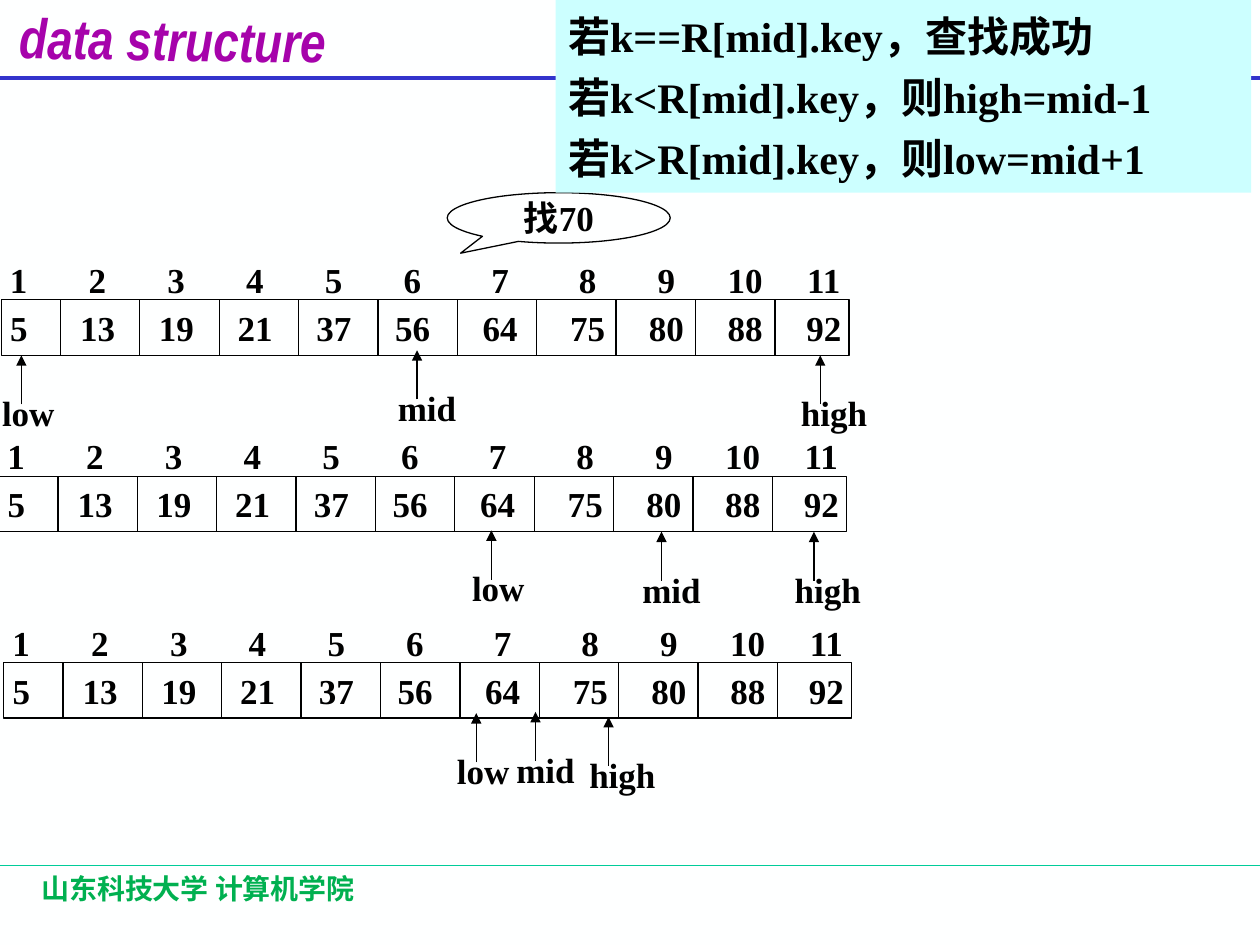
from dataclasses import dataclass

from lxml import etree
from pptx import Presentation
from pptx.dml.color import RGBColor
from pptx.enum import shapes as kinds, text as txt
from pptx.oxml import ns
from pptx.util import Inches, Pt


@dataclass(frozen=True)
class Theme:
    """Colours, fonts and type sizes of the slide."""
    background: str = "FEFFFF"
    ink: str = "000000"
    title: str = "A603AB"
    header_rule: str = "3333CC"
    footer_rule: str = "00CC99"
    footer: str = "00B050"
    panel: str = "CCFFFF"
    serif: str = "Times New Roman"
    narrow: str = "Arial Narrow"
    chinese: str = "Noto Sans CJK SC"
    title_size: int = 32
    rule_size: int = 24
    body_size: int = 20
    footer_size: int = 16
    thin: float = 0.75
    thick: float = 2.25


THEME = Theme()
KEYS = [5, 13, 19, 21, 37, 56, 64, 75, 80, 88, 92]
LABEL_WIDTHS = {"low": 0.61, "mid": 0.66, "high": 0.72}
PITCH = 0.625
COLUMN_CENTRES = [0.07 + PITCH * i + 0.07 * ((i > 5) + (i > 6))
                  for i in range(1, len(KEYS))]
ROW_WIDTH, ROW_HEIGHT = 6.73, 0.44
FIRST_DIVIDER, CELL_WIDTH = 0.47, 0.63


def child(parent, tag, **attributes):
    """Append a DrawingML element to a parent element."""
    return etree.SubElement(parent, ns.qn(tag), attributes)


def write(shape, content, *, size=THEME.body_size, font=THEME.serif, color=THEME.ink,
          italic=False, align=txt.PP_ALIGN.LEFT, anchor=txt.MSO_ANCHOR.TOP, wrap=False,
          tabs=(), line_height=None, gap=0, left=0.1, right=0.1):
    """Fill a shape with formatted text, one paragraph for each line."""
    frame = shape.text_frame
    frame.word_wrap = wrap
    frame.auto_size = txt.MSO_AUTO_SIZE.NONE
    frame.vertical_anchor = anchor
    frame.margin_left, frame.margin_right = Inches(left), Inches(right)
    frame.margin_top = frame.margin_bottom = Inches(0.05)
    for number, line in enumerate(content.split("\n")):
        paragraph = frame.add_paragraph() if number else frame.paragraphs[0]
        if tabs:
            stops = child(paragraph._p.get_or_add_pPr(), "a:tabLst")
            for position in tabs:
                child(stops, "a:tab", pos=str(Inches(position)), algn="ctr")
        paragraph.alignment = align
        paragraph.space_before = Pt(gap if number else 0)
        if line_height:
            paragraph.line_spacing = Pt(line_height)
        run = paragraph.add_run()
        run.text = line
        run.font.size, run.font.name = Pt(size), font
        run.font.bold, run.font.italic = True, italic
        run.font.color.rgb = RGBColor.from_string(color)
        child(run._r.get_or_add_rPr(), "a:ea", typeface=THEME.chinese)


def place(shape, left, top, width, height):
    """Move and size a shape in inches."""
    shape.left, shape.top = Inches(left), Inches(top)
    shape.width, shape.height = Inches(width), Inches(height)


def add_text(parts, box, content, **style):
    """Add a text box at the given box."""
    label = parts.add_textbox(*map(Inches, box))
    write(label, content, **style)


def add_line(parts, start, end, color=THEME.ink, weight=THEME.thin, arrow=False):
    """Draw a straight line, with an arrowhead at its end if asked."""
    line = parts.add_connector(kinds.MSO_CONNECTOR.STRAIGHT, *map(Inches, start + end))
    line.line.color.rgb = RGBColor.from_string(color)
    line.line.width = Pt(weight)
    if arrow:
        child(line.line._get_or_add_ln(), "a:tailEnd", type="triangle")
    child(line._element.spPr, "a:effectLst")


def add_panel(parts, kind, box, fill=None, outline=None):
    """Add a preset shape with an optional fill and outline."""
    panel = parts.add_shape(kind, *map(Inches, box))
    panel.shadow.inherit = False
    if fill:
        panel.fill.solid()
        panel.fill.fore_color.rgb = RGBColor.from_string(fill)
    else:
        panel.fill.background()
    if outline:
        panel.line.color.rgb = RGBColor.from_string(outline)
        panel.line.width = Pt(THEME.thin)
    else:
        panel.line.fill.background()
    return panel


def build_frame(slide, width):
    """Place the title, the footer and their rules."""
    add_line(slide.shapes, (0, 6.87), (width, 6.87), THEME.footer_rule)
    add_line(slide.shapes, (0, 0.62), (width, 0.62), THEME.header_rule, THEME.thick)
    title = slide.shapes.title
    place(title, 0.07, -0.01, 2.6, 0.54)
    title.rotation = 0.8
    write(title, "data structure", size=THEME.title_size, font=THEME.narrow,
          color=THEME.title, italic=True, align=txt.PP_ALIGN.CENTER, left=0, right=0)
    add_text(slide.shapes, (0.23, 6.87, 4.14, 0.5), "山东科技大学 计算机学院",
             size=THEME.footer_size, font=THEME.chinese, color=THEME.footer, wrap=True)


def build_search_step(slide, left, top, pointers):
    """Draw one state of the array: indexes, cells and pointers."""
    parts = slide.shapes.add_group_shape().shapes
    add_text(parts, (left - 0.03, top - 0.38, 6.81, ROW_HEIGHT),
             "\t".join(str(i) for i in range(1, len(KEYS) + 1)),
             tabs=COLUMN_CENTRES, wrap=True, right=0)
    cells = add_panel(parts, kinds.MSO_SHAPE.RECTANGLE,
                      (left, top, ROW_WIDTH, ROW_HEIGHT), outline=THEME.ink)
    write(cells, "\t".join(map(str, KEYS)), tabs=COLUMN_CENTRES, wrap=True,
          anchor=txt.MSO_ANCHOR.MIDDLE, left=0.07, right=0)
    for i in range(len(KEYS) - 1):
        x = left + FIRST_DIVIDER + CELL_WIDTH * i
        add_line(parts, (x, top), (x, top + ROW_HEIGHT))
    for name, x, tip in pointers:
        add_line(parts, (x, tip + 0.39), (x, tip), arrow=True)
        add_text(parts, (x - 0.25, tip + 0.24, LABEL_WIDTHS[name], 0.44), name,
                 align=txt.PP_ALIGN.CENTER)


def build_target(slide, box):
    """Place the callout that names the key being sought."""
    target = add_panel(slide.shapes, kinds.MSO_SHAPE.OVAL_CALLOUT, box, outline=THEME.ink)
    target.adjustments[0], target.adjustments[1] = -0.44, 0.7
    write(target, "找70", align=txt.PP_ALIGN.CENTER, anchor=txt.MSO_ANCHOR.MIDDLE)


def build_rules(slide, box):
    """Place the panel with the three comparison rules."""
    rules = add_panel(slide.shapes, kinds.MSO_SHAPE.RECTANGLE, box, fill=THEME.panel)
    write(rules, "若k==R[mid].key，查找成功\n"
                 "若k<R[mid].key，则high=mid-1\n"
                 "若k>R[mid].key，则low=mid+1",
          size=THEME.rule_size, anchor=txt.MSO_ANCHOR.MIDDLE, wrap=True,
          line_height=29, gap=6)


def main():
    """Build the binary search slide and save it."""
    deck = Presentation()
    deck.slide_width, deck.slide_height = Inches(10), Inches(7.5)
    slide = deck.slides.add_slide(deck.slide_layouts[5])
    slide.background.fill.solid()
    slide.background.fill.fore_color.rgb = RGBColor.from_string(THEME.background)
    build_frame(slide, 10)
    build_search_step(slide, 0.01, 2.38,
                      [("low", 0.17, 2.82), ("high", 6.51, 2.82), ("mid", 3.31, 2.78)])
    build_target(slide, (3.55, 1.53, 1.77, 0.4))
    build_search_step(slide, -0.01, 3.78,
                      [("low", 3.9, 4.21), ("high", 6.46, 4.22), ("mid", 5.25, 4.22)])
    build_search_step(slide, 0.03, 5.26,
                      [("low", 3.78, 5.66), ("high", 4.83, 5.69), ("mid", 4.25, 5.65)])
    build_rules(slide, (4.41, 0, 5.52, 1.53))
    deck.save("out.pptx")


if __name__ == "__main__":
    main()
